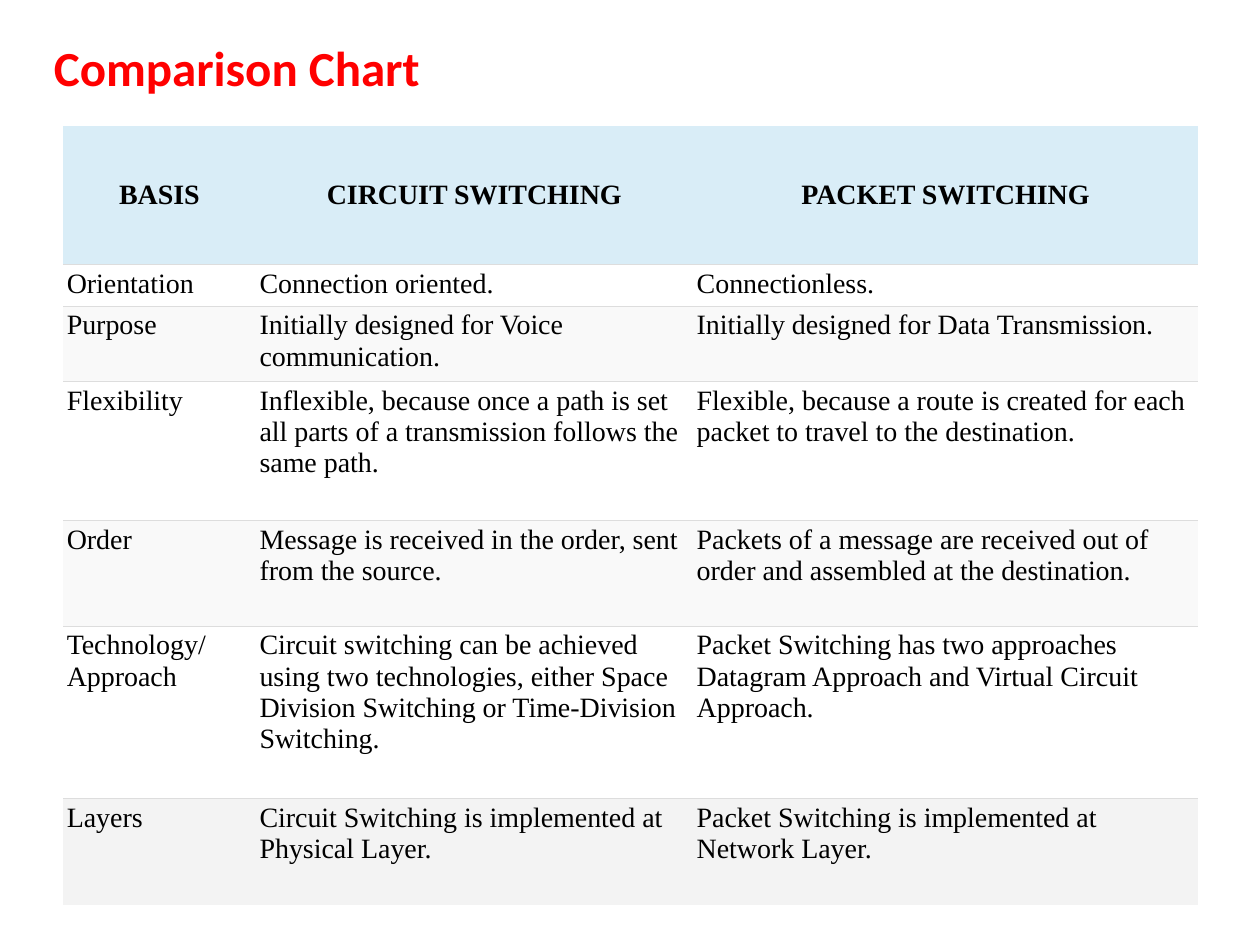
from lxml import etree
from pptx import Presentation, util as u
from pptx.dml import color
from pptx.enum import text
from pptx.oxml import ns

COLS = [1.53, 3.47, 4.01]
ROWS = [1.1, 0.33, 0.6, 1.1, 0.84, 1.37, 0.84]
FILLS = ["D9EDF7", "FFFFFF", "F9F9F9", "FFFFFF", "F9F9F9", "FFFFFF", "F3F3F3"]
CELLS = [
    ("BASIS", "CIRCUIT SWITCHING", "PACKET SWITCHING"),
    ("Orientation", "Connection oriented.", "Connectionless."),
    ("Purpose", "Initially designed for Voice communication.",
     "Initially designed for Data Transmission."),
    ("Flexibility",
     "Inflexible, because once a path is set all parts of a transmission follows the same path.",
     "Flexible, because a route is created for each packet to travel to the destination."),
    ("Order", "Message is received in the order, sent from the source.",
     "Packets of a message are received out of order and assembled at the destination."),
    ("Technology/Approach",
     "Circuit switching can be achieved using two technologies, either Space Division "
     "Switching or Time-Division Switching.",
     "Packet Switching has two approaches Datagram Approach and Virtual Circuit Approach."),
    ("Layers", "Circuit Switching is implemented at Physical Layer.",
     "Packet Switching is implemented at Network Layer."),
]


def rgb(tone):
    """Turn a hex string into a colour."""
    return color.RGBColor.from_string(tone)


def write(para, words, face, size, tone, bold):
    """Add one styled run to a paragraph."""
    run = para.add_run()
    run.text = words
    run.font.name = face
    run.font.size = u.Pt(size)
    run.font.bold = bold
    run.font.color.rgb = rgb(tone)


def pad(part, gap):
    """Set all four margins of a cell or text frame."""
    part.margin_left = part.margin_right = u.Inches(gap)
    part.margin_top = part.margin_bottom = u.Inches(gap)


def edge(cell, lined):
    """Draw grey lines on the named sides and clear the others."""
    props = cell._tc.get_or_add_tcPr()
    for spot, side in enumerate("LRTB"):
        line = etree.Element(ns.qn("a:ln" + side), w=str(u.Pt(0.75)))
        if side in lined:
            fill = etree.SubElement(line, ns.qn("a:solidFill"))
            etree.SubElement(fill, ns.qn("a:srgbClr"), val="DDDDDD")
        else:
            etree.SubElement(line, ns.qn("a:noFill"))
        props.insert(spot, line)


def title(slide, left, top, width, height):
    """Place the slide heading."""
    frame = slide.shapes.add_textbox(*map(u.Inches, (left, top, width, height))).text_frame
    frame.word_wrap = False
    frame.auto_size = text.MSO_AUTO_SIZE.SHAPE_TO_FIT_TEXT
    write(frame.paragraphs[0], "Comparison Chart", "Calibri", 28, "FF0000", True)


def grid(slide, left, top, width, height):
    """Place the comparison table."""
    box = map(u.Inches, (left, top, width, height))
    table = slide.shapes.add_table(len(ROWS), len(COLS), *box).table
    table.horz_banding = False
    for col, size in zip(table.columns, COLS):
        col.width = u.Inches(size)
    last = len(ROWS) - 1
    for num, (row, size) in enumerate(zip(table.rows, ROWS)):
        row.height = u.Inches(size)
        head = num == 0
        lined = "B" if head else "T" if num == last else "TB"
        for cell, words in zip(row.cells, CELLS[num]):
            pad(cell, 0.03)
            cell.fill.solid()
            cell.fill.fore_color.rgb = rgb(FILLS[num])
            edge(cell, lined)
            para = cell.text_frame.paragraphs[0]
            if head:
                cell.vertical_anchor = text.MSO_ANCHOR.MIDDLE
                para.alignment = text.PP_ALIGN.CENTER
            write(para, words, "Times New Roman", 16, "000000", head)


def main():
    """Build and save the slide."""
    deck = Presentation()
    deck.slide_width, deck.slide_height = u.Inches(10), u.Inches(7.5)
    slide = deck.slides.add_slide(deck.slide_layouts[6])
    title(slide, 0.33, 0.25, 3.14, 0.57)
    grid(slide, 0.5, 1, sum(COLS), sum(ROWS))
    deck.save("out.pptx")


if __name__ == "__main__":
    main()
